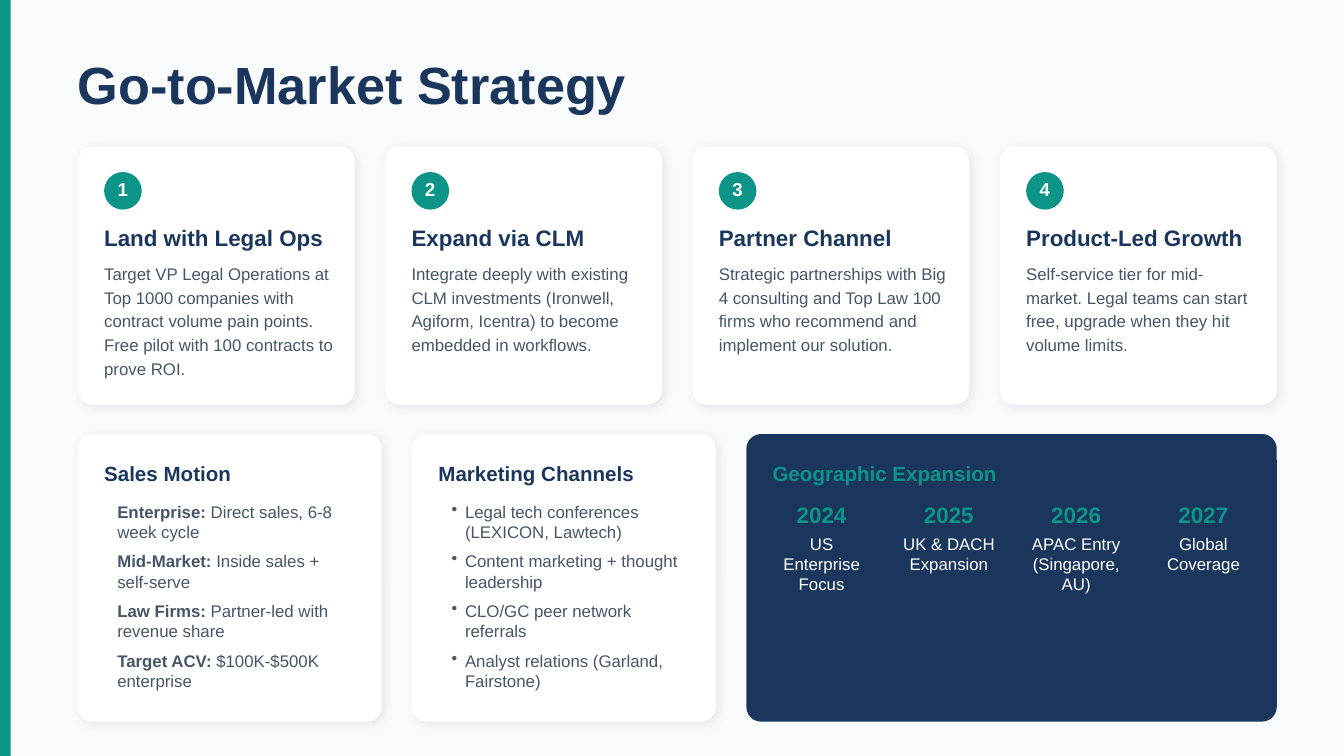
"""Build the Go-to-Market Strategy slide."""
from lxml import etree
from pptx import Presentation, util as u
from pptx.dml.color import RGBColor
from pptx.enum import shapes, text
from pptx.oxml.ns import qn

COLORS = {"page": "F8FAFC", "teal": "0D9488", "navy": "1A365D",
          "slate": "475569", "white": "FFFFFF", "shadow": "000000"}
FONT = "Arial"

TITLE = "Go-to-Market Strategy"
STRATEGIES = [
    ("Land with Legal Ops", "Target VP Legal Operations at Top 1000 companies with contract "
     "volume pain points. Free pilot with 100 contracts to prove ROI."),
    ("Expand via CLM", "Integrate deeply with existing CLM investments (Ironwell, Agiform, "
     "Icentra) to become embedded in workflows."),
    ("Partner Channel", "Strategic partnerships with Big 4 consulting and Top Law 100 firms "
     "who recommend and implement our solution."),
    ("Product-Led Growth", "Self-service tier for mid-market. Legal teams can start free, "
     "upgrade when they hit volume limits."),
]
SALES = ("Sales Motion", [
    [("Enterprise:", True), (" Direct sales, 6-8 week cycle", False)],
    [("Mid-Market:", True), (" Inside sales + self-serve", False)],
    [("Law Firms:", True), (" Partner-led with revenue share", False)],
    [("Target ACV:", True), (" $100K-$500K enterprise", False)],
])
MARKETING = ("Marketing Channels", [
    [("Legal tech conferences (LEXICON, Lawtech)", False)],
    [("Content marketing + thought leadership", False)],
    [("CLO/GC peer network referrals", False)],
    [("Analyst relations (Garland, Fairstone)", False)],
])
EXPANSION = ("Geographic Expansion", [
    ("2024", ["US Enterprise", "Focus"]),
    ("2025", ["UK & DACH", "Expansion"]),
    ("2026", ["APAC Entry", "(Singapore, AU)"]),
    ("2027", ["Global", "Coverage"]),
])

LEFT, RIGHT, PAD = 0.58, 9.5, 0.195
TOP_Y, TOP_W, TOP_H = 1.09, 2.06, 1.92
LOW_Y, LOW_W, LOW_H = 3.23, 2.26, 2.14
RADIUS = 0.11
GAP = (RIGHT - LEFT - len(STRATEGIES) * TOP_W) / (len(STRATEGIES) - 1)
YEAR_W, YEAR_STEP = 0.74, 0.947


def rgb(name):
    return RGBColor.from_string(COLORS[name])


def add_panel(slide, x, y, w, h, color, radius=0.0, shadow=False):
    kind = shapes.MSO_SHAPE.ROUNDED_RECTANGLE if radius else shapes.MSO_SHAPE.RECTANGLE
    panel = slide.shapes.add_shape(kind, *map(u.Inches, (x, y, w, h)))
    if radius:
        panel.adjustments[0] = radius / min(w, h)
    panel.fill.solid()
    panel.fill.fore_color.rgb = rgb(color)
    panel.line.fill.background()
    panel.shadow.inherit = False
    if shadow:
        effects = panel._element.spPr.find(qn("a:effectLst"))
        outer = etree.SubElement(effects, qn("a:outerShdw"), blurRad=str(u.Pt(6)),
                                 dist=str(u.Pt(2.1)), dir=str(45 * 60000),
                                 algn="bl", rotWithShape="0")
        tint = etree.SubElement(outer, qn("a:srgbClr"), val=COLORS["shadow"])
        etree.SubElement(tint, qn("a:alpha"), val="8000")


def add_text(slide, x, y, w, h, paragraphs, size, color, bold=False, align="LEFT",
             line=None, after=0, inset=0, wrap=True):
    box = slide.shapes.add_textbox(*map(u.Inches, (x, y, w, h)))
    frame = box.text_frame
    frame.word_wrap = wrap
    frame.margin_left = u.Inches(inset)
    frame.margin_top = frame.margin_right = frame.margin_bottom = 0
    for i, pieces in enumerate(paragraphs):
        paragraph = frame.paragraphs[0] if i == 0 else frame.add_paragraph()
        paragraph.alignment = text.PP_ALIGN[align]
        paragraph.space_after = u.Pt(after)
        if line:
            paragraph.line_spacing = u.Pt(line)
        for words, strong in ([(pieces, bold)] if isinstance(pieces, str) else pieces):
            run = paragraph.add_run()
            run.text = words
            run.font.name, run.font.size, run.font.bold = FONT, u.Pt(size), strong
            run.font.color.rgb = rgb(color)
    return frame


def add_bullets(frame):
    for paragraph in frame.paragraphs:
        props = paragraph._p.get_or_add_pPr()
        props.set("marL", str(u.Inches(0.1)))
        props.set("indent", str(u.Inches(-0.1)))
        etree.SubElement(props, qn("a:buChar"), char="•")


def add_strategy(slide, number, x, heading, body):
    inner = x + PAD
    add_panel(slide, x, TOP_Y, TOP_W, TOP_H, "white", RADIUS, shadow=True)
    add_panel(slide, inner, 1.28, 0.28, 0.28, "teal", 0.14)
    add_text(slide, inner + 0.1, 1.35, 0.08, 0.14, [str(number)], 10, "white", True,
             line=10, wrap=False)
    add_text(slide, inner, 1.67, 1.71, 0.19, [heading], 12, "navy", True, after=6)
    add_text(slide, inner, 1.94, 1.71, 0.87, [body], 9, "slate", line=12.6)


def add_list_card(slide, x, heading, items, bulleted):
    add_panel(slide, x, LOW_Y, LOW_W, LOW_H, "white", RADIUS, shadow=True)
    add_text(slide, x + PAD, 3.43, 1.91, 0.17, [heading], 11, "navy", True, after=10)
    frame = add_text(slide, x + PAD, 3.73, 1.87, 1.37, items, 9, "slate", after=5, inset=0.1)
    if bulleted:
        add_bullets(frame)


def add_expansion(slide, x, heading, years):
    add_panel(slide, x, LOW_Y, RIGHT - x, LOW_H, "navy", RADIUS)
    add_text(slide, x + PAD, 3.43, 3.63, 0.17, [heading], 11, "teal", True, after=10)
    for i, (year, region) in enumerate(years):
        year_x = x + 0.19 + i * YEAR_STEP
        add_text(slide, year_x, 3.73, YEAR_W, 0.19, [year], 12, "teal", True, "CENTER", after=4)
        add_text(slide, year_x, 3.97, YEAR_W, 0.44, region, 9, "white", align="CENTER")


def main():
    deck = Presentation()
    deck.slide_width, deck.slide_height = u.Inches(10), u.Inches(5.625)
    slide = deck.slides.add_slide(deck.slide_layouts[6])
    slide.background.fill.solid()
    slide.background.fill.fore_color.rgb = rgb("page")
    add_panel(slide, 0, 0, 0.08, 5.625, "teal")
    add_text(slide, LEFT, 0.39, 9.1, 0.45, [TITLE], 28, "navy", True, after=18)
    for i, (heading, body) in enumerate(STRATEGIES):
        add_strategy(slide, i + 1, LEFT + i * (TOP_W + GAP), heading, body)
    low_step = LOW_W + GAP
    add_list_card(slide, LEFT, *SALES, bulleted=False)
    add_list_card(slide, LEFT + low_step, *MARKETING, bulleted=True)
    add_expansion(slide, LEFT + 2 * low_step, *EXPANSION)
    deck.save("out.pptx")


if __name__ == "__main__":
    main()
